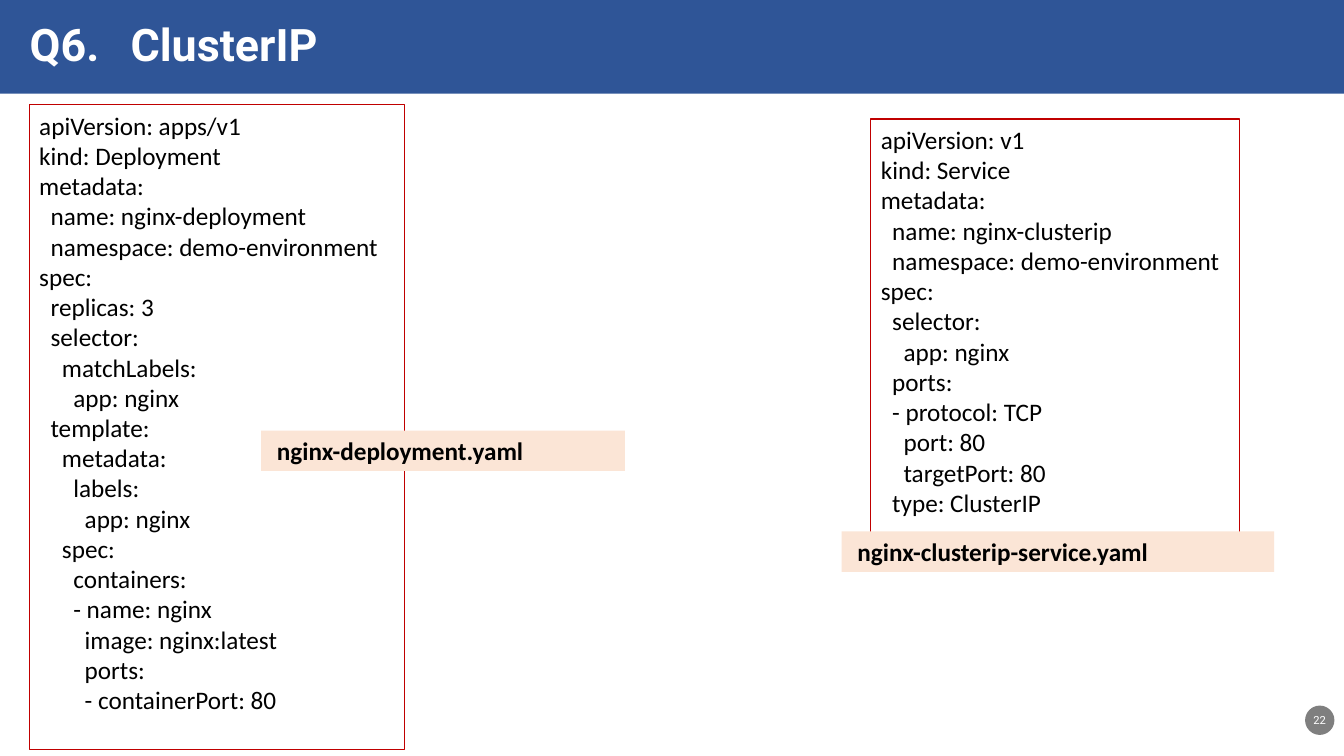
from lxml.etree import SubElement as add_node
from pptx import Presentation
from pptx.dml.color import RGBColor as Rgb
from pptx.enum.shapes import MSO_SHAPE as Shape
from pptx.enum.text import MSO_ANCHOR as Anchor, PP_ALIGN as Align
from pptx.oxml.ns import qn
from pptx.util import Cm, Pt

COLORS = {
    "blue": "2F5597",
    "red": "C00000",
    "peach": "FBE5D6",
    "gray": "7F7F7F",
    "white": "FFFFFF",
    "black": "000000",
}

DEPLOY = """apiVersion: apps/v1
kind: Deployment
metadata:
  name: nginx-deployment
  namespace: demo-environment
spec:
  replicas: 3
  selector:
    matchLabels:
      app: nginx
  template:
    metadata:
      labels:
        app: nginx
    spec:
      containers:
      - name: nginx
        image: nginx:latest
        ports:
        - containerPort: 80"""

SERVICE = """apiVersion: v1
kind: Service
metadata:
  name: nginx-clusterip
  namespace: demo-environment
spec:
  selector:
    app: nginx
  ports:
  - protocol: TCP
    port: 80
    targetPort: 80
  type: ClusterIP"""


def color(name):
    """Return the named colour."""
    return Rgb.from_string(COLORS[name])


def add_box(slide, place, fill=None, line=None, kind=Shape.RECTANGLE):
    """Draw a plain shape with an optional fill and outline."""
    box = slide.shapes.add_shape(kind, *map(Cm, place))
    box.shadow.inherit = False
    if fill:
        box.fill.solid()
        box.fill.fore_color.rgb = color(fill)
    else:
        box.fill.background()
    if line:
        box.line.color.rgb = color(line)
        box.line.width = Pt(0.75)
    else:
        box.line.fill.background()
    return box


def write(box, text, size=18, face="Calibri", ink="black", bold=False,
          align=Align.LEFT, anchor=Anchor.TOP, side=0.25):
    """Fill a shape with text in one style."""
    frame = box.text_frame
    frame.word_wrap = True
    frame.vertical_anchor = anchor
    frame.margin_left = frame.margin_right = Cm(side)
    frame.margin_top = frame.margin_bottom = Cm(0.13)
    frame.text = text
    for line in frame.paragraphs:
        line.alignment = align
        font = line.font
        font.size, font.name, font.bold = Pt(size), face, bold
        font.color.rgb = color(ink)


def add_title(slide, place, text, gap):
    """Write the heading with a tab stop after its number."""
    box = slide.shapes.add_textbox(*map(Cm, place))
    props = box.text_frame.paragraphs[0]._p.get_or_add_pPr()
    tabs = add_node(props, qn("a:tabLst"))
    add_node(tabs, qn("a:tab"), pos=str(Cm(gap)), algn="l")
    write(box, text, 32, "Roboto", "white", True)


def add_code(slide, place, text):
    """Show a listing in a red frame."""
    write(add_box(slide, place, line="red"), text)


def add_label(slide, place, text):
    """Show a file name on a peach strip."""
    write(add_box(slide, place, "peach"), text, bold=True, side=0.4)


def add_page(slide, place, text):
    """Show the page number in a gray disc."""
    disc = add_box(slide, place, "gray", kind=Shape.OVAL)
    write(disc, text, 8, "Roboto", "white", align=Align.CENTER,
          anchor=Anchor.MIDDLE, side=0)


def main():
    """Build the slide and save it."""
    deck = Presentation()
    deck.slide_width, deck.slide_height = Cm(33.87), Cm(19.05)
    slide = deck.slides.add_slide(deck.slide_layouts[6])
    add_page(slide, (32.89, 17.78, 0.74, 0.74), "22")
    add_box(slide, (0, 0, 33.87, 2.36), "blue")
    add_title(slide, (0.5, 0.28, 26.57, 1.6), "Q6.\tClusterIP", 2.3)
    add_code(slide, (0.74, 2.64, 9.45, 16.26), DEPLOY)
    add_code(slide, (21.95, 3, 9.3, 10.92), SERVICE)
    add_label(slide, (6.58, 10.85, 9.17, 1.02), "nginx-deployment.yaml")
    add_label(slide, (21.21, 13.39, 10.9, 1.02), "nginx-clusterip-service.yaml")
    deck.save("out.pptx")


if __name__ == "__main__":
    main()
